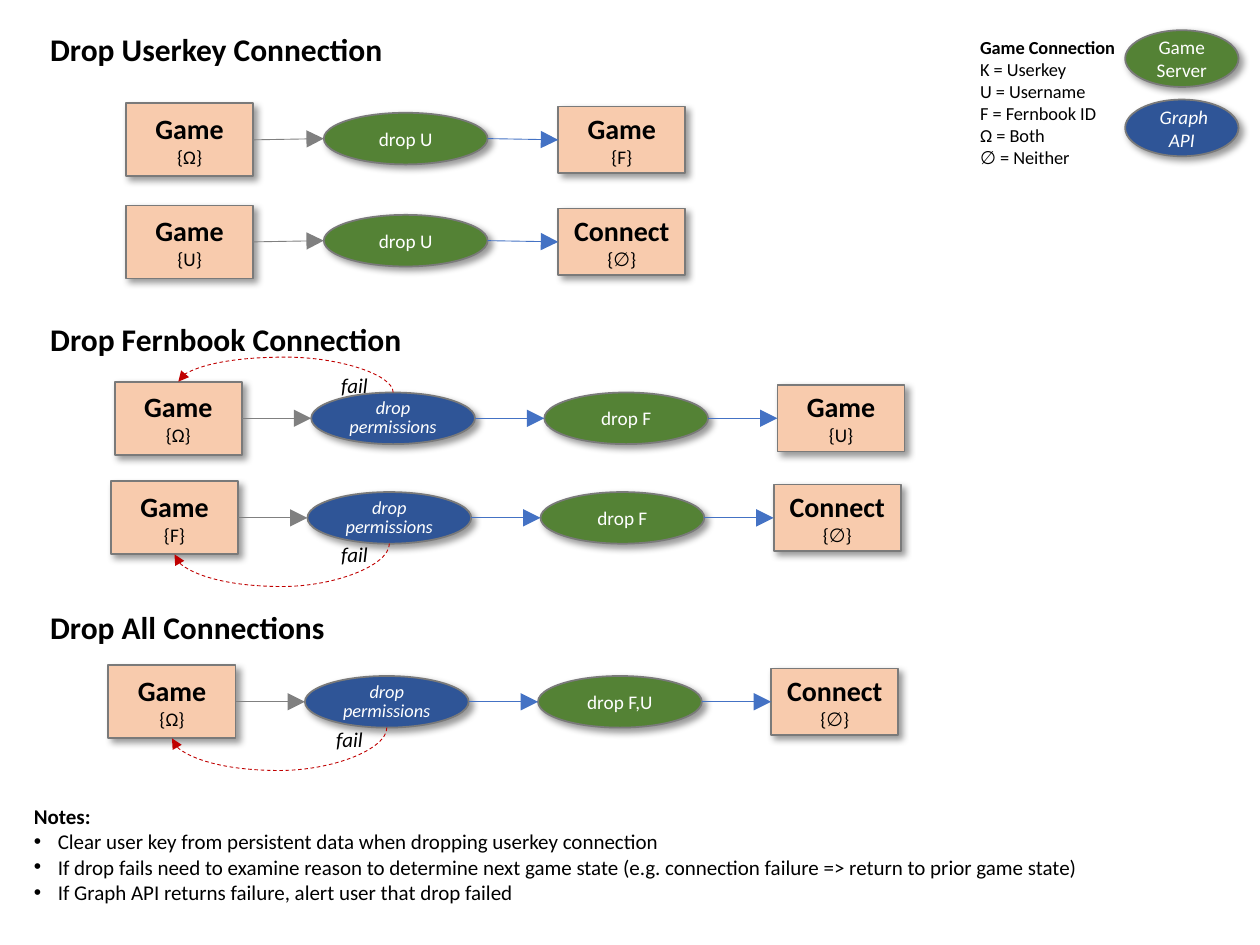
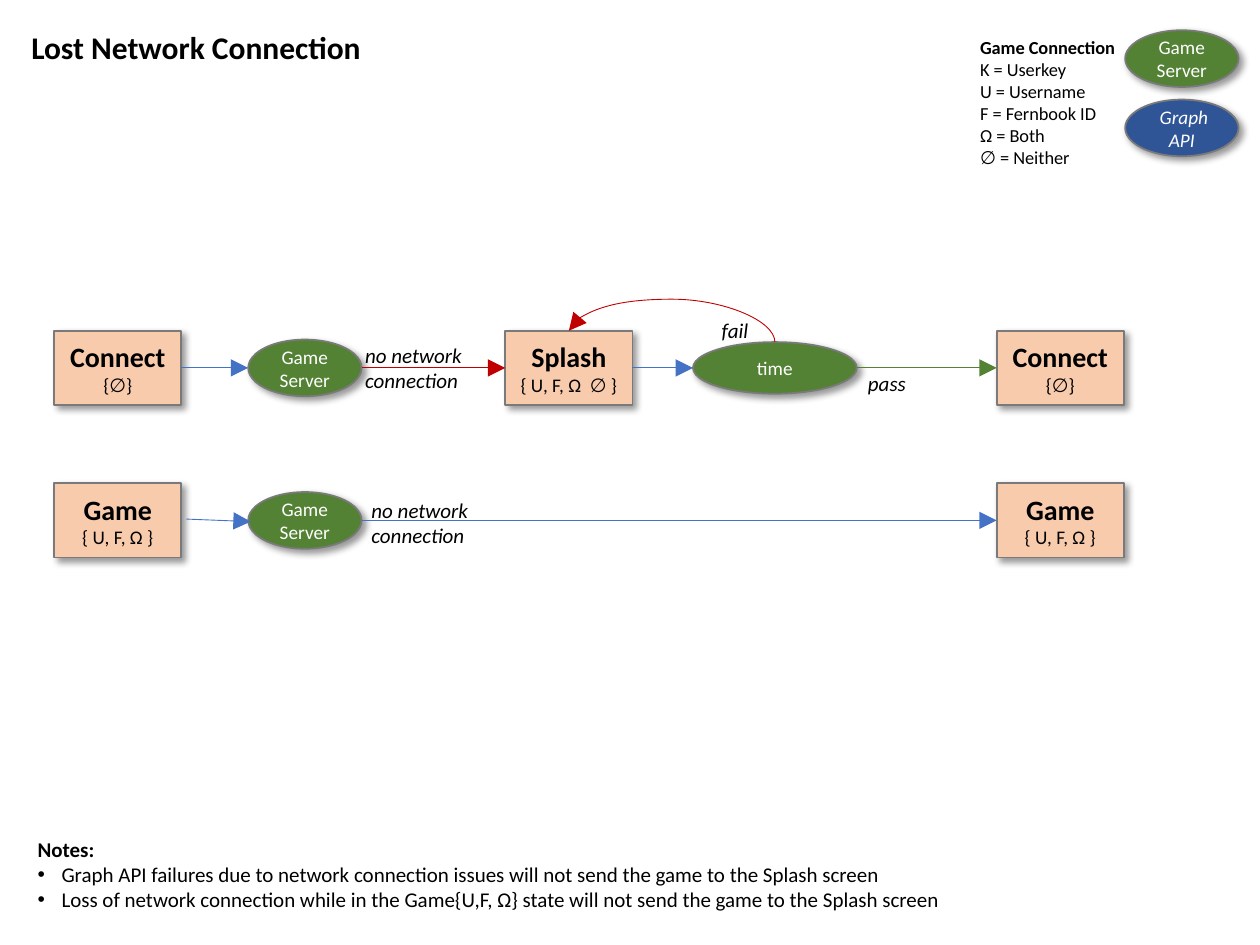
"""Build two slides of game connection flows: dropping a connection and losing the network."""
from lxml import etree
from pptx import Presentation
from pptx.dml.color import RGBColor
from pptx.enum.dml import MSO_LINE
from pptx.enum.shapes import MSO_CONNECTOR, MSO_SHAPE
from pptx.enum.text import MSO_ANCHOR, MSO_AUTO_SIZE, PP_ALIGN
from pptx.oxml.ns import qn
from pptx.util import Inches, Pt

RECT, OVAL = MSO_SHAPE.RECTANGLE, MSO_SHAPE.OVAL
STRAIGHT, CURVE = MSO_CONNECTOR.STRAIGHT, MSO_CONNECTOR.CURVE
CENTER, MIDDLE = PP_ALIGN.CENTER, MSO_ANCHOR.MIDDLE
DASH, GROW = MSO_LINE.DASH, MSO_AUTO_SIZE.SHAPE_TO_FIT_TEXT
LEFT_SIDE, RIGHT_SIDE = 1, 3

FONT = "Calibri"
COLORS = {
    "text": "000000", "white": "FFFFFF", "state": "F8CBAD", "outline": "7A7A7A",
    "server": "548235", "graph": "2F5597", "blue": "4472C4", "gray": "808080",
    "red": "C00000", "green": "548235", "shadow": "000000",
}
STATE_WIDTH = 1.01
STEP_SIZE = (1.3, 0.41)
SERVER_SIZE = (0.9, 0.45)

LEGEND_TITLE = "Game Connection"
LEGEND = ["K = Userkey", "U = Username", "F = Fernbook ID", "Ω = Both", "∅ = Neither"]
LEGEND_OVALS = [("Game\nServer", "server", 0.24), (" Graph\nAPI", "graph", 0.79)]

DROP_TITLES = [
    ("Drop Userkey Connection", 0.3, 0.19, 2.86),
    ("Drop Fernbook Connection", 0.3, 2.49, 3.01),
    ("Drop All Connections", 0.3, 4.78, 2.4),
]
DROP_U = [("drop U", "server")]
DROP_F = [("drop\u0020permissions", "graph"), ("drop F", "server")]
DROP_ALL = [("drop permissions", "graph"), ("drop F,U", "server")]
DROP_FLOWS = [
    {"at": (1, 1.11), "gap": 0.56, "rise": 0.01, "steps": DROP_U,
     "start": ("Game", "{Ω}"), "end": ("Game", "{F}")},
    {"at": (1, 1.92), "gap": 0.56, "rise": 0.01, "steps": DROP_U,
     "start": ("Game", "{U}"), "end": ("Connect", "{∅}")},
    {"at": (0.91, 3.32), "gap": 0.55, "rise": 0, "steps": DROP_F,
     "start": ("Game", "{Ω}"), "end": ("Game", "{U}"), "fail": (-0.28, 2.61, 2.91)},
    {"at": (0.88, 4.11), "gap": 0.55, "rise": 0, "steps": DROP_F,
     "start": ("Game", "{F}"), "end": ("Connect", "{∅}"), "fail": (0.34, 2.61, 4.25)},
    {"at": (0.86, 5.57), "gap": 0.55, "rise": 0, "steps": DROP_ALL,
     "start": ("Game", "{Ω}"), "end": ("Connect", "{∅}"), "fail": (0.34, 2.57, 5.72)},
]
DROP_NOTES = [
    "Clear user key from persistent data when dropping userkey connection",
    "If drop fails need to examine reason to determine next game state "
    "(e.g. connection failure => return to prior game state)",
    "If Graph API returns failure, alert user that drop failed",
]

LOST_TITLE = ("Lost Network Connection", 0.15, 0.17, 2.84)
LOST_STATES = {
    "connect": (0.43, 2.92, "Connect", "{∅}"),
    "splash": (4.01, 2.92, "Splash", "{ U, F, Ω  ∅ }"),
    "reconnect": (7.91, 2.92, "Connect", "{∅}"),
    "game": (0.43, 4.13, "Game", "{ U, F, Ω }"),
    "resume": (7.91, 4.13, "Game", "{ U, F, Ω }"),
}
LOST_STEPS = {
    "server": (1.97, 2.92, SERVER_SIZE, "Game\nServer"),
    "time": (5.5, 2.92, STEP_SIZE, "time"),
    "game server": (1.97, 4.13, SERVER_SIZE, "Game\nServer"),
}
LOST_LINKS = [
    ("connect", "server", "blue"), ("server", "splash", "red"), ("splash", "time", "blue"),
    ("time", "reconnect", "green"), ("game server", "resume", "blue"),
]
LOST_LABELS = [
    ("pass", 6.79, 2.89, 0.71), ("no network\nconnection", 2.8, 2.67, 1.07),
    ("fail", 5.63, 2.47, 0.43), ("no network\nconnection", 2.85, 3.9, 1.07),
]
LOST_NOTES = [
    "Graph API failures due to network connection issues will not send the game to the Splash screen",
    "Loss of network connection while in the Game{U,F, Ω} state will not send the game to the Splash screen",
]


def rgb(name):
    return RGBColor.from_string(COLORS[name])


def add_xml(parent, tag, **attributes):
    return etree.SubElement(parent, qn(tag), attributes)


def write(frame, lines, color="text", align=None):
    """Fill a frame with one paragraph per (text, size, bold, italic) line."""
    for index, (text, size, bold, italic) in enumerate(lines):
        para = frame.paragraphs[0] if index == 0 else frame.add_paragraph()
        para.text = text
        para.alignment = align
        para.font.name = FONT
        para.font.size = Pt(size)
        para.font.bold = bold
        para.font.italic = italic
        para.font.color.rgb = rgb(color)


def add_text(shapes, left, top, width, height, lines, wrap=False):
    box = shapes.add_textbox(Inches(left), Inches(top), Inches(width), Inches(height))
    box.text_frame.word_wrap = wrap
    box.text_frame.auto_size = GROW
    write(box.text_frame, lines)
    return box


def add_title(page, text, left, top, width):
    add_text(page.shapes, left, top, width, 0.4, [(text, 18, True, False)])


def add_label(page, text, left, top, width, wrap=False):
    rows = text.split("\n")
    lines = [(row, 12, False, True) for row in rows]
    add_text(page.shapes, left, top, width, 0.1 + 0.2 * len(rows), lines, wrap)


def add_notes(page, left, top, width, notes):
    lines = [("Notes:", 12, True, False)] + [(note, 12, False, False) for note in notes]
    box = add_text(page.shapes, left, top, width, 0.1 + 0.2 * len(lines), lines)
    for para in box.text_frame.paragraphs[1:]:
        properties = para._p.get_or_add_pPr()
        properties.set("marL", str(Inches(0.19)))
        properties.set("indent", str(-Inches(0.19)))
        add_xml(properties, "a:buFont", typeface="Arial")
        add_xml(properties, "a:buChar", char="•")
        properties.extend(properties.findall(qn("a:defRPr")))


def add_node(shapes, kind, left, middle, width, height, fill):
    """Add a shadowed shape whose vertical centre is at middle."""
    node = shapes.add_shape(kind, Inches(left), Inches(middle - height / 2),
                            Inches(width), Inches(height))
    node.fill.solid()
    node.fill.fore_color.rgb = rgb(fill)
    node.line.color.rgb = rgb("outline")
    node.line.width = Pt(1)
    node.shadow.inherit = False
    effects = node._element.spPr.find(qn("a:effectLst"))
    shadow = add_xml(effects, "a:outerShdw", blurRad=str(Pt(4)), dist=str(Pt(3)),
                     dir="2700000", algn="tl", rotWithShape="0")
    color = add_xml(shadow, "a:srgbClr", val=COLORS["shadow"])
    add_xml(color, "a:alpha", val="40000")
    node.text_frame.word_wrap = True
    node.text_frame.vertical_anchor = MIDDLE
    return node


def add_state(page, left, middle, height, name, keys):
    state = add_node(page.shapes, RECT, left, middle, STATE_WIDTH, height, "state")
    write(state.text_frame, [(name, 16, True, False), (keys, 11, False, False)], align=CENTER)
    return state


def add_step(shapes, left, middle, size, text, kind, font_size=11):
    step = add_node(shapes, OVAL, left, middle, *size, kind)
    lines = [(row, font_size, False, kind == "graph") for row in text.split("\n")]
    write(step.text_frame, lines, "white", CENTER)
    return step


def style_line(line, color, head="lg", dashed=False):
    line.line.color.rgb = rgb(color)
    line.line.width = Pt(0.5)
    if dashed:
        line.line.dash_style = DASH
    properties = line._element.spPr
    add_xml(properties.find(qn("a:ln")), "a:tailEnd", type="triangle", w=head, len=head)
    add_xml(properties, "a:effectLst")


def add_arrow(page, x1, y1, x2, y2, color):
    arrow = page.shapes.add_connector(STRAIGHT, x1, y1, x2, y2)
    style_line(arrow, color)
    return arrow


def link(page, first, second, color):
    """Draw an arrow from the right of one node to the left of the next."""
    arrow = add_arrow(page, first.left + first.width, first.top + first.height // 2,
                      second.left, second.top + second.height // 2, color)
    if first.auto_shape_type == RECT:
        arrow.begin_connect(first, RIGHT_SIDE)
    if second.auto_shape_type == RECT:
        arrow.end_connect(second, LEFT_SIDE)


def add_return(page, step, state, bend, head="lg", dashed=False):
    """Curve back from a step to a state, above when bend is negative, else below."""
    above = bend < 0
    x1, x2 = (node.left + node.width // 2 for node in (step, state))
    y1, y2 = (node.top + (0 if above else node.height) for node in (step, state))
    center_x, center_y = (x1 + x2) // 2, (y1 + y2) // 2
    half_gap, half_span = abs(y2 - y1) // 2, abs(x2 - x1) // 2
    drop = half_span if above else -half_span
    curve = page.shapes.add_connector(CURVE, center_x - half_gap, center_y + drop,
                                      center_x + half_gap, center_y - drop)
    properties = curve._element.spPr
    properties.find(qn("a:xfrm")).set("rot", "16200000" if above else "5400000")
    geometry = properties.find(qn("a:prstGeom"))
    guides = geometry.find(qn("a:avLst"))
    if guides is None:
        guides = add_xml(geometry, "a:avLst")
    ratio = round(abs(Inches(bend)) / (2 * half_gap) * 100000)
    add_xml(guides, "a:gd", name="adj1", fmla=f"val {ratio}")
    style_line(curve, "red", head, dashed)


def add_legend(page):
    group = page.shapes.add_group_shape()
    lines = [(LEGEND_TITLE, 10.5, True, False)] + [(row, 10.5, False, False) for row in LEGEND]
    add_text(group.shapes, 7.68, 0.24, 1.29, 1.16, lines)
    for text, kind, top in LEGEND_OVALS:
        add_step(group.shapes, 8.93, top + SERVER_SIZE[1] / 2, SERVER_SIZE, text, kind)


def add_flow(page, flow):
    left, middle = flow["at"]
    nodes = [add_state(page, left, middle, 0.58, *flow["start"])]
    left += STATE_WIDTH + flow["gap"]
    for text, kind in flow["steps"]:
        size = 10.5 if kind == "graph" else 11
        step = add_step(page.shapes, left, middle - flow["rise"], STEP_SIZE, text, kind, size)
        if kind == "graph":
            step.text_frame.paragraphs[0].line_spacing = Pt(11)
        nodes.append(step)
        left += STEP_SIZE[0] + flow["gap"]
    nodes.append(add_state(page, left, middle, 0.53, *flow["end"]))
    for index, (first, second) in enumerate(zip(nodes, nodes[1:])):
        link(page, first, second, "blue" if index else "gray")
    if "fail" in flow:
        bend, label_left, label_top = flow["fail"]
        add_return(page, nodes[1], nodes[0], bend, "med", True)
        add_label(page, "fail", label_left, label_top, 0.41)


def build_drop_page(page):
    add_notes(page, 0.17, 6.33, 8.58, DROP_NOTES)
    add_legend(page)
    for title in DROP_TITLES:
        add_title(page, *title)
    for flow in DROP_FLOWS:
        add_flow(page, flow)


def build_lost_page(page):
    add_title(page, *LOST_TITLE)
    add_notes(page, 0.2, 6.59, 7.43, LOST_NOTES)
    add_legend(page)
    nodes = {}
    for key, (left, middle, name, keys) in LOST_STATES.items():
        nodes[key] = add_state(page, left, middle, 0.59, name, keys)
    for key, (left, middle, size, text) in LOST_STEPS.items():
        nodes[key] = add_step(page.shapes, left, middle, size, text, "server")
    for first, second, color in LOST_LINKS:
        link(page, nodes[first], nodes[second], color)
    add_arrow(page, Inches(1.48), Inches(4.12), Inches(1.99), Inches(4.14), "blue")
    add_return(page, nodes["time"], nodes["splash"], -0.34)
    for label in LOST_LABELS:
        add_label(page, *label, wrap=True)


def main():
    deck = Presentation()
    deck.slide_width, deck.slide_height = Inches(10), Inches(7.5)
    for build in (build_drop_page, build_lost_page):
        build(deck.slides.add_slide(deck.slide_layouts[6]))
    deck.save("out.pptx")


if __name__ == "__main__":
    main()
